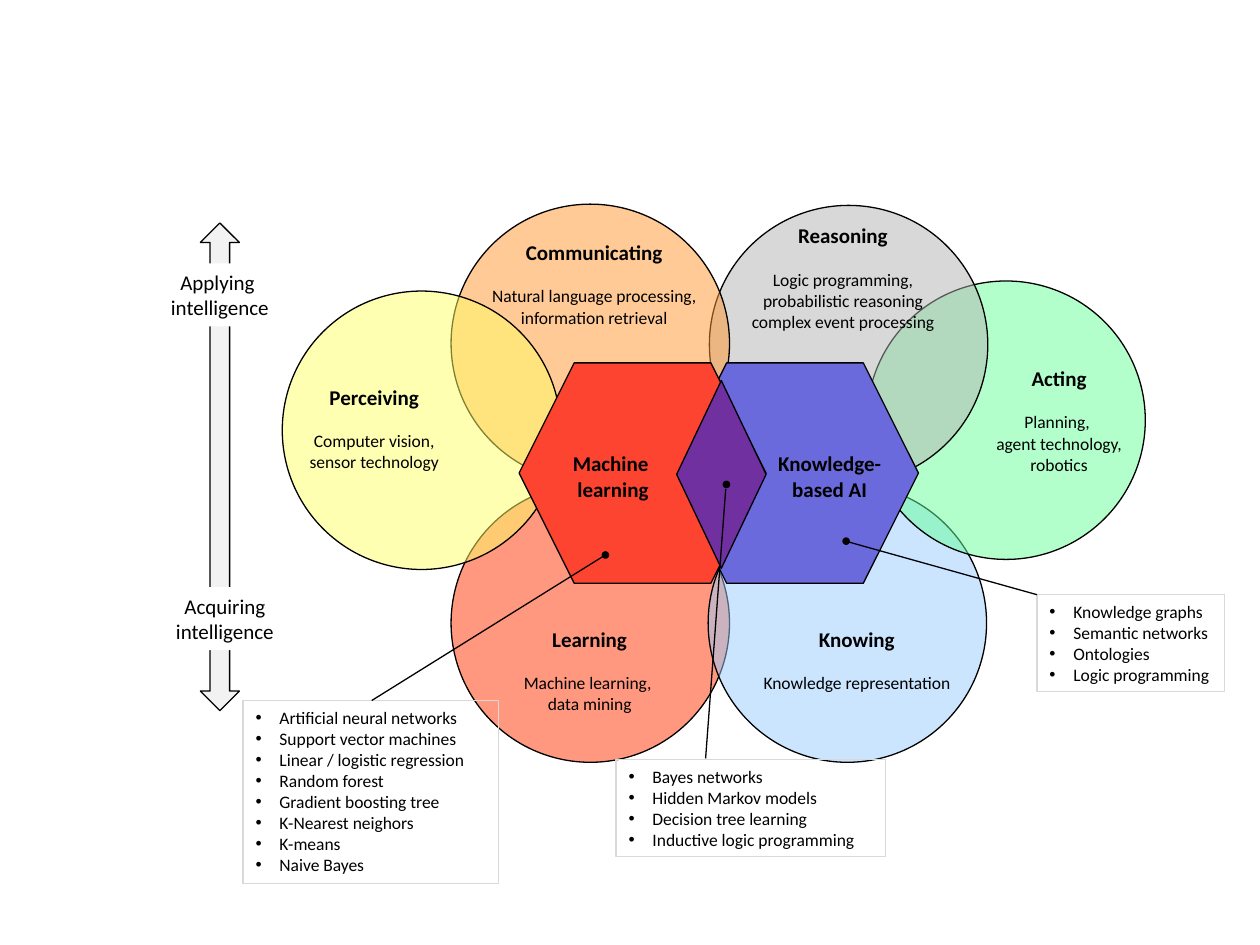
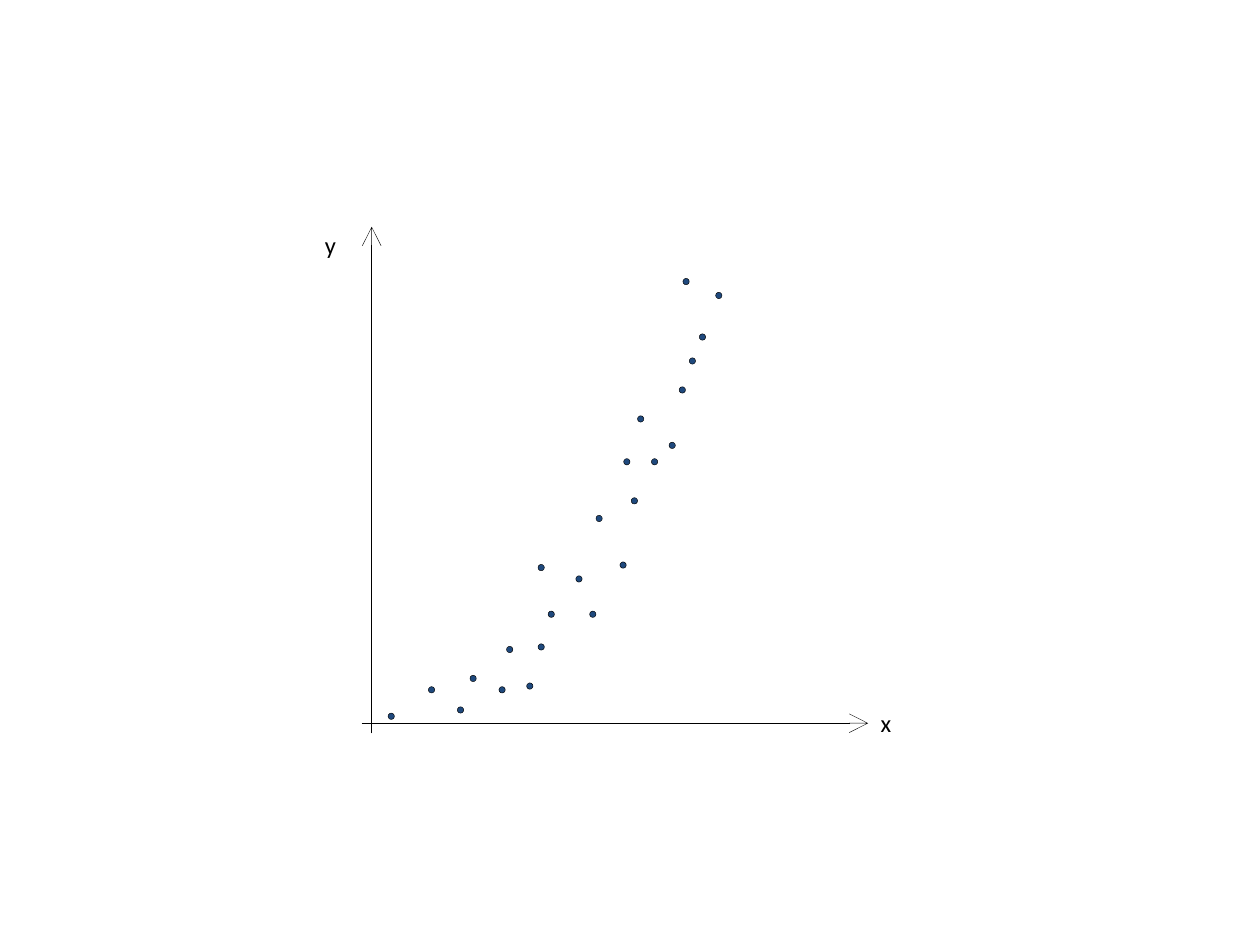
from lxml.etree import SubElement
from pptx import Presentation
from pptx.dml.color import RGBColor
from pptx.enum.shapes import MSO_CONNECTOR, MSO_SHAPE
from pptx.enum.text import MSO_ANCHOR, PP_ALIGN
from pptx.oxml.ns import qn
from pptx.util import Inches, Pt

# Shared style
color = RGBColor.from_string
BLACK, WHITE, LIGHT_GREY, NAVY = "000000", "FFFFFF", "D9D9D9", "1F497D"
HEADING = {"size": Pt(12), "bold": True}
CAPTION = {"size": Pt(12), "bold": False}
DETAIL = {"size": Pt(10), "bold": False}
AXIS_NAME = {"size": Pt(14), "bold": False}
DOT = 0.05


def draw_shape(shapes, preset, box, fill, line_width=0.75):
    shape = shapes.add_shape(preset, *[Inches(length) for length in box])
    shape.shadow.inherit = False
    shape.fill.solid()
    shape.fill.fore_color.rgb = color(fill)
    shape.line.color.rgb = color(BLACK)
    shape.line.width = Pt(line_width)
    return shape


def write_text(shapes, box, lines, formats, align=PP_ALIGN.CENTER, bullets=False):
    """Write one paragraph per line; the last format serves all remaining lines."""
    text_box = shapes.add_textbox(*[Inches(length) for length in box])
    frame = text_box.text_frame
    frame.word_wrap = bullets
    frame.vertical_anchor = MSO_ANCHOR.TOP
    for index, line in enumerate(lines):
        paragraph = frame.paragraphs[0] if index == 0 else frame.add_paragraph()
        paragraph.alignment = align
        if index == 1 and len(formats) > 1:
            paragraph.space_before = Pt(12)
        if bullets:
            properties = paragraph._p.get_or_add_pPr()
            properties.set("marL", str(Inches(0.19)))
            properties.set("indent", str(-Inches(0.19)))
            SubElement(properties, qn("a:buFont"), typeface="Arial")
            SubElement(properties, qn("a:buChar"), char="•")
        run = paragraph.add_run()
        run.text = line
        run.font.name = "Calibri"
        run.font.color.rgb = color(BLACK)
        for name, value in formats[min(index, len(formats) - 1)].items():
            setattr(run.font, name, value)
    return text_box


presentation = Presentation()
presentation.slide_width = Inches(10)
presentation.slide_height = Inches(7.5)
blank = presentation.slide_layouts[6]

# Slide 1: fields of artificial intelligence
fields_slide = presentation.slides.add_slide(blank)
shapes = fields_slide.shapes

# Overlapping half-transparent circles: left, top, fill, label box, label lines
CIRCLE = 2.21
fields = [
    (3.58, 3.84, "FF3300", (4.05, 4.92, 1.26, 0.81),
     ["Learning", "Machine learning, ", "data mining"]),
    (5.62, 3.84, "99CCFF", (5.89, 4.92, 1.82, 0.64),
     ["Knowing", "Knowledge representation"]),
    (6.88, 2.23, "66FF99", (7.79, 2.85, 1.23, 0.98),
     ["Acting", "Planning, ", "agent technology,", "robotics"]),
    (5.63, 1.63, "B2B2B2", (5.85, 1.72, 1.68, 0.98),
     ["Reasoning", "Logic programming,", "probabilistic reasoning",
      "complex event processing"]),
    (3.58, 1.62, "FF962D", (3.79, 1.85, 1.85, 0.81),
     ["Communicating", "Natural language processing,", "information retrieval"]),
    (2.24, 2.31, "FFFF66", (2.35, 3, 1.24, 0.81),
     ["Perceiving", "Computer vision,", "sensor technology"]),
]
for left, top, fill, label_box, lines in fields:
    circle = draw_shape(shapes, MSO_SHAPE.OVAL, (left, top, CIRCLE, CIRCLE), fill)
    fill_color = circle._element.spPr.find(".//" + qn("a:srgbClr"))
    SubElement(fill_color, qn("a:alpha"), val="50000")

# Core approaches and their overlap
for left, fill in [(5.33, "6A6ADC"), (4.12, "FD4431")]:
    draw_shape(shapes, MSO_SHAPE.HEXAGON, (left, 2.88, 1.96, 1.75), fill)
draw_shape(shapes, MSO_SHAPE.FLOWCHART_DECISION, (5.37, 3.02, 0.71, 1.49), "7030A0")

# Labels of approaches and fields
write_text(shapes, (4.44, 3.53, 0.85, 0.5), ["Machine ", "learning"], [HEADING])
write_text(shapes, (6.07, 3.53, 1.03, 0.5), ["Knowledge-", "based AI"], [HEADING])
for left, top, fill, label_box, lines in fields:
    write_text(shapes, label_box, lines, [HEADING, DETAIL])

# Vertical scale
draw_shape(shapes, MSO_SHAPE.UP_DOWN_ARROW, (1.59, 1.77, 0.31, 3.87), "F2F2F2")
for left, top, first_word in [(1.22, 2.09, "Applying "), (1.26, 4.66, "Acquiring")]:
    caption = write_text(shapes, (left, top, 1.05, 0.5),
                         [first_word, "intelligence"], [CAPTION])
    caption.fill.solid()
    caption.fill.fore_color.rgb = color(WHITE)

# Method lists
method_lists = [
    ((8.23, 4.72, 1.49, 0.77),
     ["Knowledge graphs", "Semantic networks", "Ontologies", "Logic programming"]),
    ((1.93, 5.56, 2.03, 1.45),
     ["Artificial neural networks", "Support vector machines",
      "Linear / logistic regression", "Random forest", "Gradient boosting tree",
      "K-Nearest neighors", "K-means", "Naive Bayes"]),
    ((4.89, 6.03, 2.14, 0.77),
     ["Bayes networks", "Hidden Markov models", "Decision tree learning",
      "Inductive logic programming"]),
]
for box, methods in method_lists:
    method_box = write_text(shapes, box, methods, [DETAIL], PP_ALIGN.LEFT, bullets=True)
    method_box.line.color.rgb = color(LIGHT_GREY)
    method_box.line.width = Pt(0.75)

# Anchor dots of the callouts
for left, top in [(6.69, 4.27), (5.74, 3.82), (4.78, 4.38)]:
    draw_shape(shapes, MSO_SHAPE.OVAL, (left, top, DOT, DOT), BLACK)

# Slide 2: scatter of sample points
scatter_slide = presentation.slides.add_slide(blank)
scatter = scatter_slide.shapes.add_group_shape().shapes
for name, left, top in [("x", 6.89, 5.57), ("y", 2.48, 1.78)]:
    write_text(scatter, (left, top, 0.29, 0.34), [name], [AXIS_NAME], PP_ALIGN.LEFT)

points = [
    (3.08, 5.66), (3.4, 5.45), (3.63, 5.61), (3.73, 5.36), (5.47, 2.84), (5.06, 3.3),
    (5.01, 3.95), (4.02, 5.13), (4.73, 4.09), (5.68, 2.32), (3.96, 5.45), (5.55, 2.65),
    (5.42, 2.21), (5.39, 3.07), (4.27, 4.48), (4.18, 5.42), (4.27, 5.11), (4.35, 4.85),
    (4.68, 4.85), (4.57, 4.57), (4.92, 4.46), (4.95, 3.64), (5.17, 3.64), (5.31, 3.51),
]
for left, top in points:
    draw_shape(scatter, MSO_SHAPE.FLOWCHART_CONNECTOR, (left, top, DOT, DOT), NAVY, 0.25)

# Callout lines and axes: start, end, width, arrowhead
connectors = [
    (shapes, (6.73, 4.3), (8.23, 4.72), 0.75, False),
    (shapes, (5.76, 3.88), (5.6, 6.02), 0.75, False),
    (shapes, (4.78, 4.42), (2.95, 5.56), 0.75, False),
    (scatter, (2.87, 5.74), (6.89, 5.74), 0.25, True),
    (scatter, (2.95, 5.82), (2.95, 1.8), 0.25, True),
]
for target, start, end, width, has_arrow in connectors:
    ends = [Inches(length) for length in start + end]
    connector = target.add_connector(MSO_CONNECTOR.STRAIGHT, *ends)
    connector.line.color.rgb = color(BLACK)
    connector.line.width = Pt(width)
    if has_arrow:
        SubElement(connector.line._get_or_add_ln(), qn("a:tailEnd"),
                   type="arrow", w="lg", len="lg")
    SubElement(connector._element.spPr, qn("a:effectLst"))

presentation.save("out.pptx")
